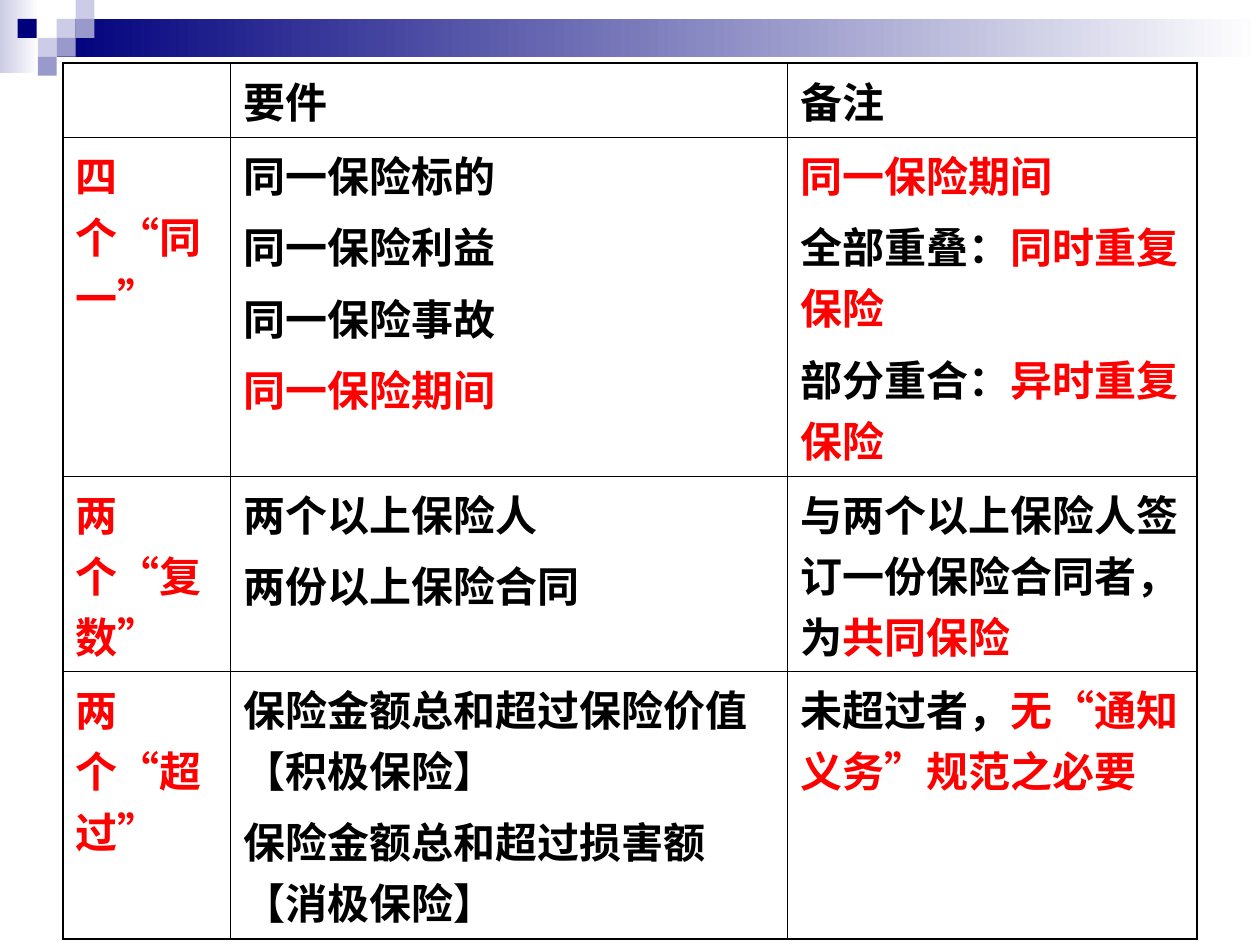
from typing import NamedTuple

import pptx
import pptx.dml.color
import pptx.enum.shapes
import pptx.util
from lxml import etree
from pptx.dml.color import RGBColor
from pptx.util import Inches

BLACK = RGBColor(0x00, 0x00, 0x00)
RED = RGBColor(0xFF, 0x00, 0x00)
WHITE = RGBColor(0xFF, 0xFF, 0xFF)
NAVY = RGBColor(0x00, 0x00, 0x7D)
LAVENDER = RGBColor(0xCC, 0xCC, 0xE6)
VIOLET = RGBColor(0x99, 0x99, 0xCC)

SQUARE = 0.15
OUTER_WIDTH = pptx.util.Pt(1.08)
INNER_WIDTH = pptx.util.Pt(0.45)
DRAWING_NS = "http://schemas.openxmlformats.org/drawingml/2006/main"


class Band(NamedTuple):
    left: float
    top: float
    width: float
    height: float
    color: RGBColor


class Square(NamedTuple):
    left: float
    top: float
    color: RGBColor


class Run(NamedTuple):
    text: str
    color: RGBColor = BLACK


Paragraph = list[Run]

BANDS = [
    Band(0, 0, 0.31, 0.58, LAVENDER),
    Band(0.45, 0.15, 9.55, 0.3, NAVY),
]
SQUARES = [
    Square(0.45, 0.15, LAVENDER),
    Square(0.6, 0, LAVENDER),
    Square(0.6, 0.15, VIOLET),
    Square(0.3, 0.3, LAVENDER),
    Square(0.14, 0.15, NAVY),
    Square(0.45, 0.3, VIOLET),
    Square(0.3, 0.45, VIOLET),
]

COLUMN_WIDTHS = [1.33, 4.42, 3.25]
ROW_HEIGHTS = [0.59, 2.69, 1.55, 2.12]
ROWS: list[list[list[Paragraph]]] = [
    [[], [[Run("要件")]], [[Run("备注")]]],
    [
        [[Run("四个“同一”", RED)]],
        [
            [Run("同一保险标的")],
            [Run("同一保险利益")],
            [Run("同一保险事故")],
            [Run("同一保险期间", RED)],
        ],
        [
            [Run("同一保险期间", RED)],
            [Run("全部重叠："), Run("同时重复保险", RED)],
            [Run("部分重合："), Run("异时重复保险", RED)],
        ],
    ],
    [
        [[Run("两个“复数”", RED)]],
        [[Run("两个以上保险人")], [Run("两份以上保险合同")]],
        [[Run("与两个以上保险人签订一份保险合同者，为"), Run("共同保险", RED)]],
    ],
    [
        [[Run("两个“超过”", RED)]],
        [
            [Run("保险金额总和超过保险价值【积极保险】")],
            [Run("保险金额总和超过损害额【消极保险】")],
        ],
        [[Run("未超过者，"), Run("无“通知义务”规范之必要", RED)]],
    ],
]


def add_rectangle(s: pptx.slide.Slide, left: float, top: float, width: float, height: float):
    sp = s.shapes.add_shape(
        pptx.enum.shapes.MSO_SHAPE.RECTANGLE,
        Inches(left), Inches(top), Inches(width), Inches(height),
    )
    sp.shadow.inherit = False
    sp.line.fill.background()
    return sp


def add_band(s: pptx.slide.Slide, band: Band) -> None:
    """Draw a rectangle that fades to white towards the right."""
    fill = add_rectangle(s, band.left, band.top, band.width, band.height).fill
    fill.gradient()
    fill.gradient_angle = 0
    for stop, color, position in zip(fill.gradient_stops, (band.color, WHITE), (0, 1)):
        stop.color.rgb = color
        stop.position = position


def add_square(s: pptx.slide.Slide, square: Square) -> None:
    sp = add_rectangle(s, square.left, square.top, SQUARE, SQUARE)
    sp.fill.solid()
    sp.fill.fore_color.rgb = square.color


def fill_text(cell, paragraphs: list[Paragraph]) -> None:
    tf = cell.text_frame
    for i, runs in enumerate(paragraphs):
        p = tf.add_paragraph() if i else tf.paragraphs[0]
        p.space_before = pptx.util.Pt(6)
        for run in runs:
            r = p.add_run()
            r.text = run.text
            r.font.name = "Arial"
            r.font.size = pptx.util.Pt(24)
            r.font.bold = True
            r.font.color.rgb = run.color


def set_borders(cell, row: int, column: int) -> None:
    """Rule the cell, with heavier lines on the outside of the table."""
    outer = {
        "lnL": column == 0,
        "lnR": column == len(COLUMN_WIDTHS) - 1,
        "lnT": row == 0,
        "lnB": row == len(ROW_HEIGHTS) - 1,
    }
    properties = cell._tc.get_or_add_tcPr()
    for tag, is_outer in outer.items():
        width = OUTER_WIDTH if is_outer else INNER_WIDTH
        line = etree.SubElement(properties, f"{{{DRAWING_NS}}}{tag}", w=str(int(width)))
        solid = etree.SubElement(line, f"{{{DRAWING_NS}}}solidFill")
        etree.SubElement(solid, f"{{{DRAWING_NS}}}srgbClr", val=str(BLACK))


def add_requirements_table(s: pptx.slide.Slide) -> None:
    table = s.shapes.add_table(
        len(ROW_HEIGHTS), len(COLUMN_WIDTHS),
        Inches(0.5), Inches(0.5), Inches(sum(COLUMN_WIDTHS)), Inches(sum(ROW_HEIGHTS)),
    ).table
    table.first_row = False
    table.horz_banding = False
    for column, width in zip(table.columns, COLUMN_WIDTHS):
        column.width = Inches(width)
    for i, (height, contents) in enumerate(zip(ROW_HEIGHTS, ROWS)):
        table.rows[i].height = Inches(height)
        for j, paragraphs in enumerate(contents):
            cell = table.cell(i, j)
            fill_text(cell, paragraphs)
            set_borders(cell, i, j)
            cell.fill.background()


def main() -> None:
    prs = pptx.Presentation()
    prs.slide_width, prs.slide_height = Inches(10), Inches(7.5)
    s = prs.slides.add_slide(prs.slide_layouts[6])
    for band in BANDS:
        add_band(s, band)
    for square in SQUARES:
        add_square(s, square)
    add_requirements_table(s)
    prs.save("out.pptx")


if __name__ == "__main__":
    main()
